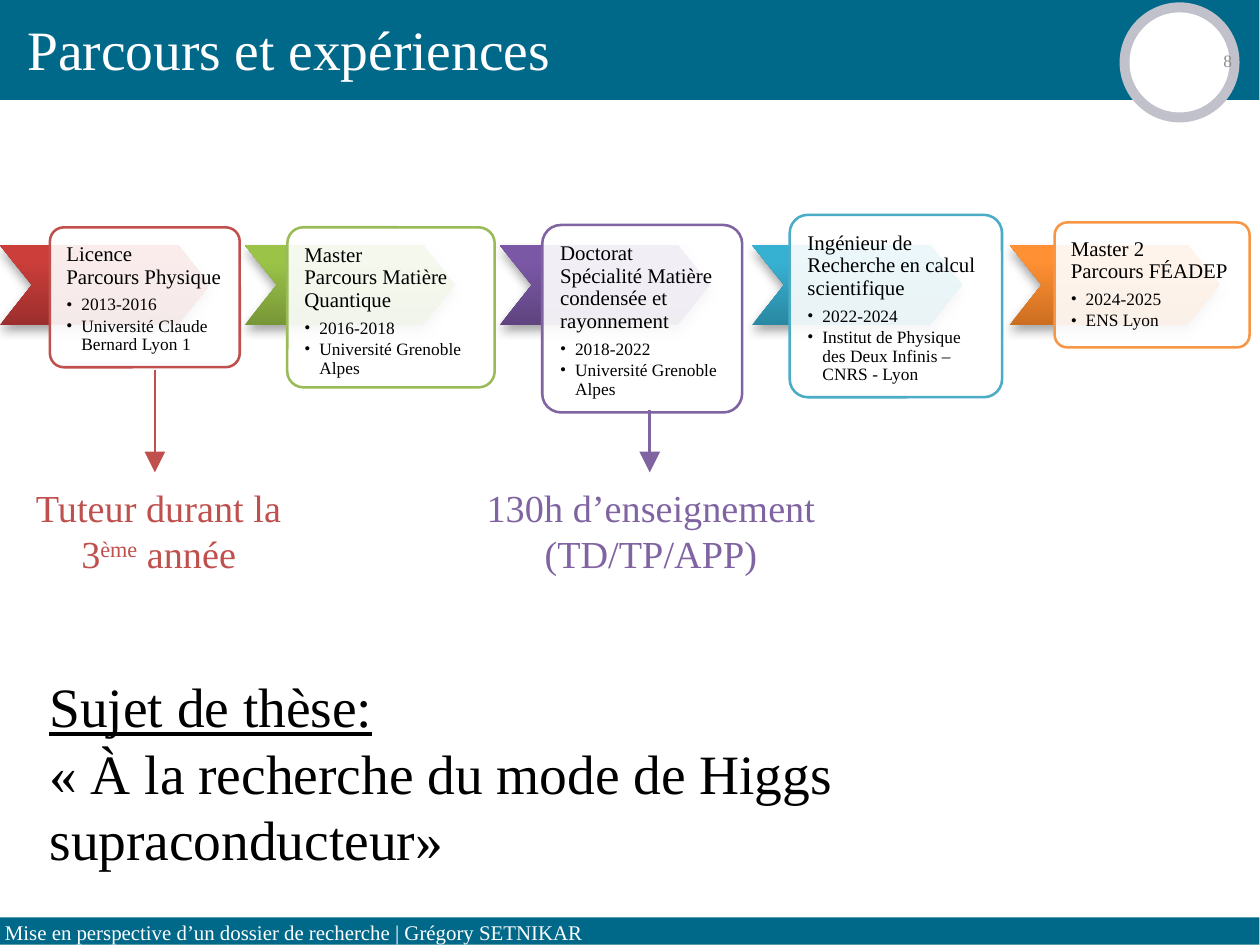
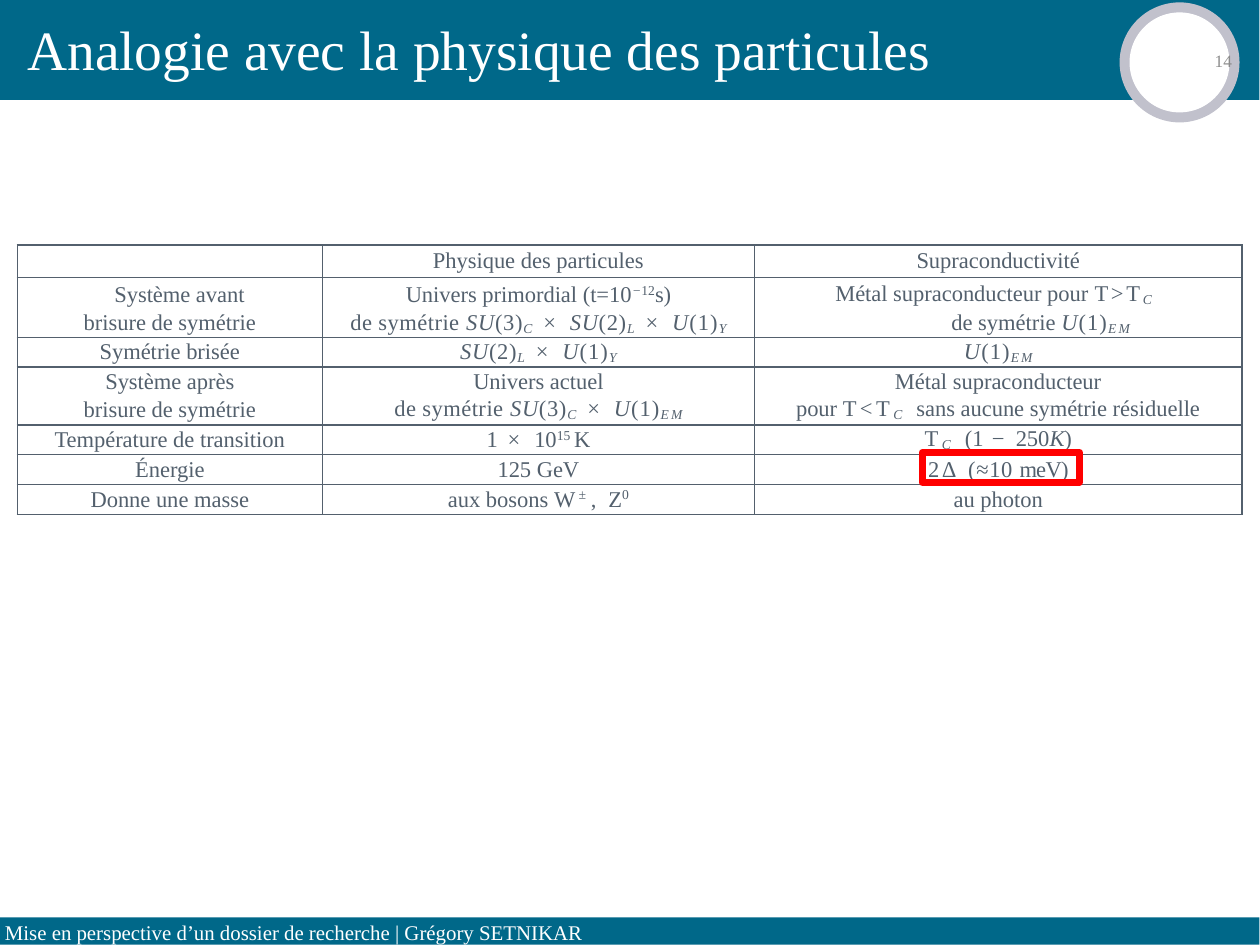
"""Build two slides on a research career and a physics analogy."""
from lxml.etree import SubElement
from pptx import Presentation
from pptx.dml.color import RGBColor
from pptx.enum.shapes import MSO_CONNECTOR, MSO_SHAPE
from pptx.enum.text import MSO_ANCHOR, PP_ALIGN
from pptx.oxml.ns import qn
from pptx.util import Inches, Pt

FONT = "Times New Roman"
BAND, RING, WHITE, BLACK = "006889", "C1C1CC", "FFFFFF", "000000"
NUMBER, SLATE, RED = "8C8C8C", "53606D", "FF0000"
BAND_WIDTH = 5.04
FOOTER = "Mise en perspective d’un dossier de recherche | Grégory SETNIKAR"

STAGES = [
    {"name": "Licence \nParcours Physique",
     "facts": ["2013-2016", "Université Claude Bernard Lyon 1"],
     "chevron": 0, "card": (0.2, 0.91, 0.76, 0.56), "colours": ("C0504D", "9C2F2D", "CB3E3A")},
    {"name": "Master \nParcours Matière Quantique",
     "facts": ["2016-2018", "Université Grenoble Alpes"],
     "chevron": 0.98, "card": (1.15, 0.91, 0.83, 0.64), "colours": ("9BBB59", "779737", "9BC348")},
    {"name": "Doctorat\nSpécialité Matière condensée et rayonnement",
     "facts": ["2018-2022", "Université Grenoble Alpes"],
     "chevron": 2, "card": (2.17, 0.9, 0.8, 0.75), "colours": ("8064A2", "5F4480", "7B58A6")},
    {"name": "Ingénieur de Recherche en calcul scientifique",
     "facts": ["2022-2024", "Institut de Physique des Deux Infinis – CNRS - Lyon"],
     "chevron": 3.01, "card": (3.16, 0.86, 0.85, 0.73), "colours": ("4BACC6", "2A88A2", "37B1D2")},
    {"name": "Master 2 \nParcours FÉADEP",
     "facts": ["2024-2025", "ENS Lyon"],
     "chevron": 4.04, "card": (4.22, 0.89, 0.78, 0.5), "colours": ("F79646", "CC6E20", "FF9034")},
]
TEACHING = [
    (["Tuteur durant la 3", ("ème", "sup"), " année"], (0.01, 1.89, 1.25, 0.47), 0.62, 1.48, "C0504D"),
    (["130h d’enseignement (TD/TP/APP)"], (1.71, 1.89, 1.79, 0.47), 2.6, 1.64, "8064A2"),
]
THESIS = [[("Sujet de thèse:", "underline")], ["« À la recherche du mode de Higgs supraconducteur»"]]

SU, U, TIMES = ("SU", "italic", 0.2), ("U", "italic", 0.3), (" × ", "", 1.2)
COLOUR, LEFT = ("C", "sub", 0.3), ("L", "sub", 0.3)
HYPER, EM, CRITICAL = ("Y", "sub", 0.5), ("EM", "sub", 0.6), ("C ", "sub", 1.5)
OF_SYMMETRY = ("de symétrie ", "", 0.15)
THREE, TWO, ONE = ("(3)", "", 0.2), ("(2)", "", 0.2), ("(1)", "", 0.3)
ANALOGY = [
    [[], [["Physique des particules"]], [["Supraconductivité"]]],
    [[["Système avant ", "\n", "brisure de symétrie"]],
     [["Univers primordial (t=10", ("−", "supitalic"), ("12", "sup"), "s)"],
      [OF_SYMMETRY, SU, THREE, COLOUR, TIMES, SU, TWO, LEFT, TIMES, U, ONE, HYPER]],
     [["Métal supraconducteur pour ", ("T>T", "", 0.8), ("C ", "sub", 1.2),
       "\n", "de symétrie ", U, ONE, EM]]],
    [[["Symétrie brisée"]], [[SU, TWO, LEFT, TIMES, U, ONE, HYPER]], [[U, ONE, EM]]],
    [[["Système après"], ["brisure de symétrie"]],
     [["Univers actuel"], [OF_SYMMETRY, SU, THREE, COLOUR, TIMES, U, ONE, EM]],
     [["Métal supraconducteur"],
      ["pour ", ("T<T", "", 1), CRITICAL, "sans aucune symétrie résiduelle"]]],
    [[["Température de transition"]],
     [["1", TIMES, "10", ("15 ", "sup"), "K"]],
     [[("T", "", 1), CRITICAL, "(1", (" − ", "", 0.8), "250", ("K", "italic"), ")"]]],
    [[["Énergie"]], [["125 GeV"]],
     [[("2∆ ", "", 0.9), ("(≈10 ", "", 0.2), ("meV)", "", -0.2)]]],
    [[["Donne une masse"]],
     [["aux bosons ", ("W", "", 0.9), ("±", "supitalic", 1.4), (", ", "", 0.9), "Z", ("0", "sup")]],
     [["au photon"]]],
]
COLUMNS = [1.22, 1.73, 1.95]
ROWS = [0.13, 0.24, 0.12, 0.23, 0.12, 0.12, 0.12]
LEADINGS = [7.2, 8.2, 7.2, 7.2, 7.2, 7.7, 7.2]
INDENTS = {(1, 0): (0.21, 0.21, 0.1), (1, 2): (0.56, 0.22, -0.33)}


def rgb(colour):
    return RGBColor.from_string(colour)


def box(values):
    return [Inches(value) for value in values]


def style(run, size, colour):
    run.font.name, run.font.size = FONT, Pt(size)
    run.font.color.rgb = rgb(colour)


def size_breaks(paragraph, size):
    for gap in paragraph._p.findall(qn("a:br")):
        SubElement(gap, qn("a:rPr"), sz=str(round(size * 100)))


def add_piece(paragraph, size, script_size, colour, words, kind="", spacing=0):
    run = paragraph.add_run()
    run.text = words
    raised, lowered = kind.startswith("sup"), kind == "sub"
    style(run, script_size if raised or lowered else size, colour)
    if lowered or kind.endswith("italic"):
        run.font.italic = True
    if kind == "underline":
        run.font.underline = True
    properties = run.font._element
    if raised or lowered:
        properties.set("baseline", "30000" if raised else "-12000")
    if spacing:
        properties.set("spc", str(round(spacing * 100)))


def write(paragraph, pieces, size, colour, script_size=None):
    for piece in pieces:
        if piece == "\n":
            paragraph.add_line_break()
        else:
            parts = [piece] if isinstance(piece, str) else piece
            add_piece(paragraph, size, script_size or size, colour, *parts)
    size_breaks(paragraph, size)


def inset(holder, left, top, right, bottom):
    holder.margin_left, holder.margin_top = Inches(left), Inches(top)
    holder.margin_right, holder.margin_bottom = Inches(right), Inches(bottom)


def add_text(slide, at, paragraphs, size, colour, align=PP_ALIGN.LEFT, margins=(0, 0, 0, 0)):
    frame = slide.shapes.add_textbox(*box(at)).text_frame
    frame.word_wrap = True
    inset(frame, *margins)
    for index, pieces in enumerate(paragraphs):
        paragraph = frame.add_paragraph() if index else frame.paragraphs[0]
        paragraph.alignment = align
        write(paragraph, pieces, size, colour)


def add_form(slide, kind, at, fill=None, line=None, weight=0.75):
    form = slide.shapes.add_shape(kind, *box(at))
    form.shadow.inherit = False
    if fill:
        form.fill.solid()
        form.fill.fore_color.rgb = rgb(fill)
    else:
        form.fill.background()
    if line:
        form.line.color.rgb = rgb(line)
        form.line.width = Pt(weight)
    else:
        form.line.fill.background()
    return form


def start_slide(deck, title, number):
    slide = deck.slides.add_slide(deck.slide_layouts[6])
    add_form(slide, MSO_SHAPE.RECTANGLE, (0, 0, BAND_WIDTH, 0.4), BAND)
    add_form(slide, MSO_SHAPE.RECTANGLE, (0, 3.67, BAND_WIDTH, 0.11), BAND)
    add_form(slide, MSO_SHAPE.OVAL, (4.48, 0.01, 0.48, 0.48), RING)
    add_form(slide, MSO_SHAPE.OVAL, (4.52, 0.05, 0.4, 0.4), WHITE)
    add_text(slide, (0.11, 0.06, 4.18, 0.27), [[title]], 16, WHITE)
    add_text(slide, (0.02, 3.68, 3.07, 0.1), [[FOOTER]], 6, WHITE)
    add_text(slide, (4.85, 0.2, 0.08, 0.08), [[number]], 5, NUMBER, PP_ALIGN.RIGHT)
    return slide


def add_chevron(slide, left, dark, light):
    chevron = add_form(slide, MSO_SHAPE.CHEVRON, (left, 0.98, 0.84, 0.32))
    chevron.adjustments[0] = 0.4
    chevron.fill.gradient()
    chevron.fill.gradient_angle = 90
    for stop, colour, position in zip(chevron.fill.gradient_stops, (dark, light), (0, 0.8)):
        stop.color.rgb, stop.position = rgb(colour), position
    effects = chevron._element.spPr.find(qn("a:effectLst"))
    shadow = SubElement(effects, qn("a:outerShdw"), blurRad=str(Pt(3.1)), dist=str(Pt(1.8)),
                        dir="5400000", rotWithShape="0")
    shade = SubElement(shadow, qn("a:srgbClr"), val=BLACK)
    SubElement(shade, qn("a:alpha"), val="35000")


def add_card(slide, stage):
    card = add_form(slide, MSO_SHAPE.ROUNDED_RECTANGLE, stage["card"], WHITE, stage["colours"][0])
    card.adjustments[0] = 0.1
    tint = card._element.spPr.find(qn("a:solidFill")).find(qn("a:srgbClr"))
    SubElement(tint, qn("a:alpha"), val="90000")
    frame = card.text_frame
    frame.word_wrap, frame.vertical_anchor = True, MSO_ANCHOR.TOP
    inset(frame, 0.05, 0.05, 0.05, 0.05)
    for index, words in enumerate([stage["name"], *stage["facts"]]):
        paragraph = frame.add_paragraph() if index else frame.paragraphs[0]
        paragraph.text = words
        paragraph.alignment, paragraph.line_spacing = PP_ALIGN.LEFT, 0.9
        size = 5 if index else 6
        paragraph.space_after = Pt(0.75 if index else 2.1)
        for run in paragraph.runs:
            style(run, size, BLACK)
        size_breaks(paragraph, size)
        if index:
            properties = paragraph._p.get_or_add_pPr()
            properties.set("marL", str(Inches(0.06)))
            properties.set("indent", str(Inches(-0.06)))
            SubElement(properties, qn("a:buFont"), typeface=FONT)
            SubElement(properties, qn("a:buChar"), char="•")


def add_arrow(slide, x, top, bottom, colour):
    arrow = slide.shapes.add_connector(MSO_CONNECTOR.STRAIGHT, *box((x, top, x, bottom)))
    arrow.line.color.rgb, arrow.line.width = rgb(colour), Pt(0.75)
    SubElement(arrow.line._get_or_add_ln(), qn("a:tailEnd"), type="triangle")
    SubElement(arrow._element.spPr, qn("a:effectLst"))


def add_borders(cell):
    properties = cell._tc.get_or_add_tcPr()
    for index, side in enumerate(("lnL", "lnR", "lnT", "lnB")):
        edge = SubElement(properties, qn(f"a:{side}"), w=str(Pt(0.5)))
        fill = SubElement(edge, qn("a:solidFill"))
        SubElement(fill, qn("a:srgbClr"), val=SLATE)
        properties.insert(index, edge)


def fill_cell(cell, row, column):
    inset(cell, 0, 0, 0, 0)
    cell.vertical_anchor = MSO_ANCHOR.MIDDLE
    cell.fill.background()
    add_borders(cell)
    lines = ANALOGY[row][column]
    for index, pieces in enumerate(lines):
        paragraph = cell.text_frame.add_paragraph() if index else cell.text_frame.paragraphs[0]
        paragraph.alignment = PP_ALIGN.CENTER
        paragraph.line_spacing = Pt(max(LEADINGS[row], 7.8) if index else LEADINGS[row])
        indents = INDENTS.get((row, column), (0, 0, 0))
        for side, length in zip(("marL", "marR", "indent"), indents):
            paragraph._p.get_or_add_pPr().set(side, str(Inches(length)))
        write(paragraph, pieces, 6.5, SLATE, 6.8)
    if not lines:
        SubElement(cell.text_frame.paragraphs[0]._p, qn("a:endParaRPr"), sz="650")


def build_career(deck):
    slide = start_slide(deck, "Parcours et expériences", "8")
    for stage in STAGES:
        add_chevron(slide, stage["chevron"], *stage["colours"][1:])
        add_card(slide, stage)
    for pieces, at, x, top, colour in TEACHING:
        add_arrow(slide, x, top, at[1], colour)
        add_text(slide, at, [pieces], 11, colour, PP_ALIGN.CENTER, (0.1, 0.05, 0.1, 0.05))
    add_text(slide, (0.1, 2.64, 4.83, 0.64), THESIS, 16, BLACK, margins=(0.1, 0.05, 0.1, 0.05))


def build_analogy(deck):
    slide = start_slide(deck, "Analogie avec la physique des particules", "14")
    at = (0.07, 0.98, sum(COLUMNS), sum(ROWS))
    table = slide.shapes.add_table(len(ROWS), len(COLUMNS), *box(at)).table
    table.first_row = table.horz_banding = False
    for column, width in zip(table.columns, COLUMNS):
        column.width = Inches(width)
    for row, height in enumerate(ROWS):
        table.rows[row].height = Inches(height)
        for column in range(len(COLUMNS)):
            fill_cell(table.cell(row, column), row, column)
    add_form(slide, MSO_SHAPE.RECTANGLE, (3.69, 1.81, 0.63, 0.12), line=RED, weight=2)


def main():
    deck = Presentation()
    deck.slide_width, deck.slide_height = Pt(363), Pt(272.5)
    build_career(deck)
    build_analogy(deck)
    deck.save("out.pptx")


if __name__ == "__main__":
    main()
